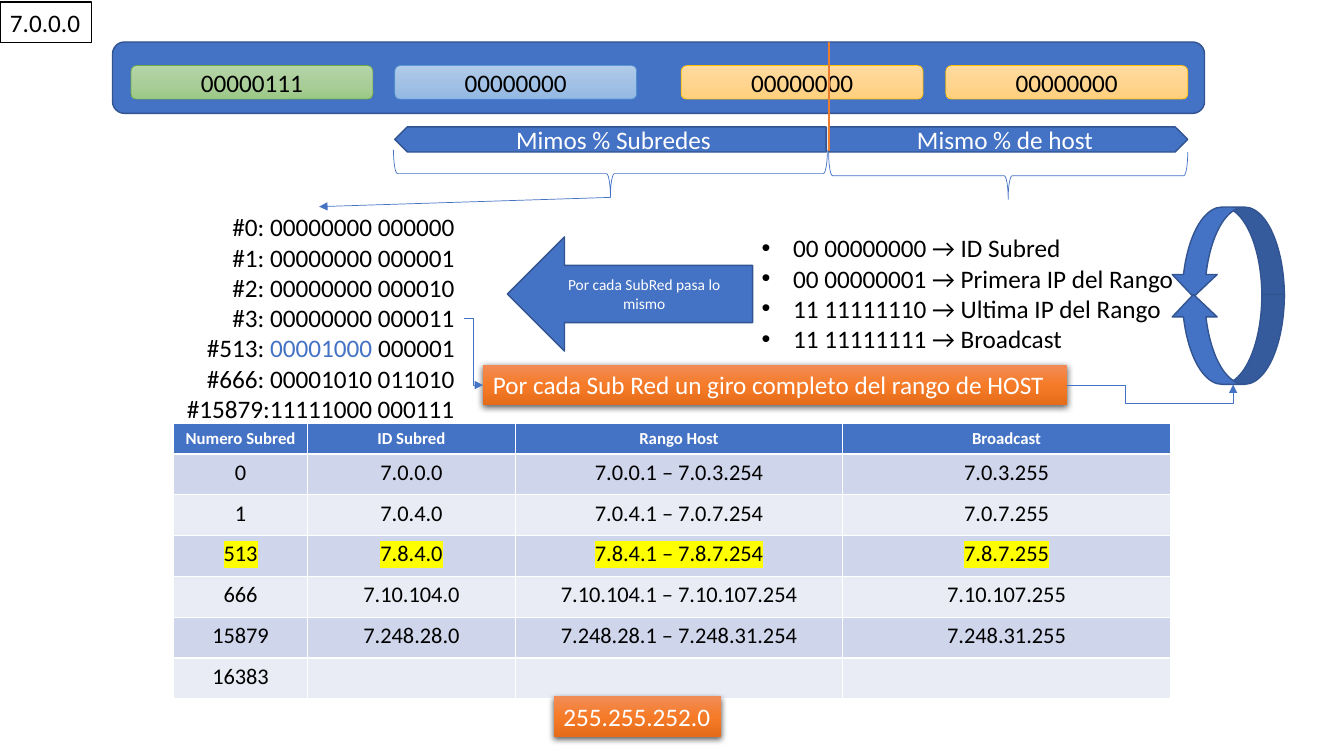
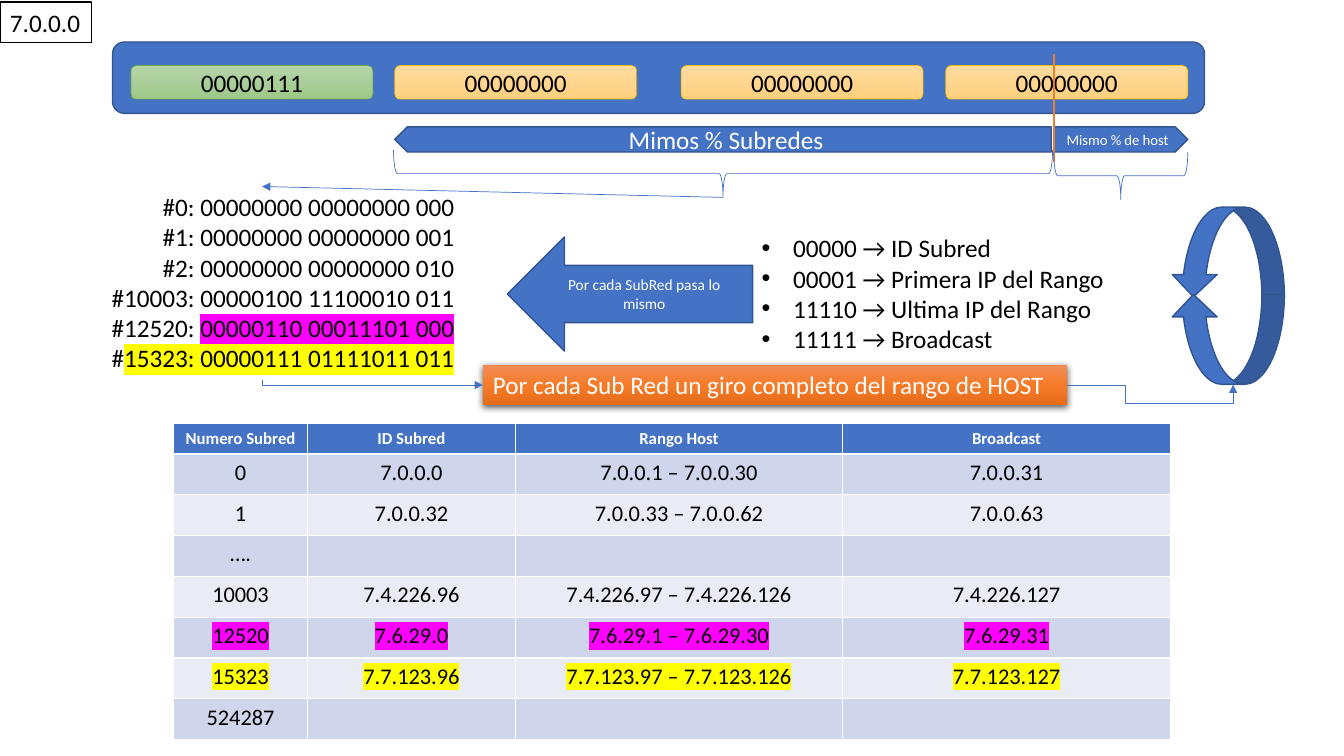
import copy
from dataclasses import dataclass, field

import lxml.etree
import pptx
import pptx.dml.color
import pptx.enum.shapes
import pptx.enum.text
import pptx.oxml.ns
import pptx.util

MSO = pptx.enum.shapes.MSO_SHAPE
LINE = pptx.enum.shapes.MSO_CONNECTOR
ALIGN = pptx.enum.text.PP_ALIGN
ANCHOR = pptx.enum.text.MSO_ANCHOR
qn = pptx.oxml.ns.qn
COLS, ROWS = 160, 90


@dataclass(frozen=True)
class Theme:
    font: str = "Calibri"
    body: float = 18
    cell: float = 16
    head: float = 12
    note: float = 11
    tiny: float = 10.5
    blue: str = "4472C4"
    edge: str = "325491"
    accent: str = "ED7D31"
    black: str = "000000"
    white: str = "FFFFFF"
    bands: tuple = ("CFD5EA", "E9EBF5")
    yellow: str = "FFFF00"
    magenta: str = "FF00FF"
    orange: tuple = ("F18C57", "F67B28", "E56C19")
    octets: dict = field(default_factory=lambda: {
        "net": (("B5D5A7", "AACE9A", "9CC987"), "70AD47"),
        "subnet": (("B1CBE9", "A3C1E5", "93B9E4"), "5B9BD5"),
        "host": (("FFDB9E", "FFD590", "FFD07C"), "FFC000"),
    })


T = Theme()


def rgb(value):
    return pptx.dml.color.RGBColor.from_string(value)


def put(obj, **values):
    for name, value in values.items():
        setattr(obj, name, value)


def child(parent, tag, **attrs):
    return lxml.etree.SubElement(parent, qn(tag), attrs)


class Deck:
    """Holds the presentation and the current slide; lengths are grid units."""

    def __init__(self):
        self.prs = pptx.Presentation()
        put(self.prs, slide_width=pptx.util.Inches(13.33), slide_height=pptx.util.Inches(7.5))
        self.s = None

    def new_slide(self):
        self.s = self.prs.slides.add_slide(self.prs.slide_layouts[6])

    def x(self, cols):
        return round(self.prs.slide_width * cols / COLS)

    def y(self, rows):
        return round(self.prs.slide_height * rows / ROWS)

    def box(self, x, y, w, h):
        return self.x(x), self.y(y), self.x(w), self.y(h)

    def set_text(self, p, parts, size=T.body, color=T.black, bold=False, align=None):
        """Fill a paragraph; parts is a string or (text, colour, highlight) runs."""
        p.alignment = align
        for text, own, mark in [(parts, None, None)] if isinstance(parts, str) else parts:
            r = p.add_run()
            r.text = text
            put(r.font, size=pptx.util.Pt(size), bold=bold, name=T.font)
            r.font.color.rgb = rgb(own or color)
            if mark:
                rPr = r._r.get_or_add_rPr()
                hl = child(rPr, "a:highlight")
                child(hl, "a:srgbClr", val=mark)
                rPr.find(qn("a:solidFill")).addnext(hl)

    def paint(self, sp, fill, line=None, width=1):
        if isinstance(fill, tuple):
            sp.fill.gradient()
            sp.fill.gradient_angle = 270
            stops = sp._element.spPr.find(".//" + qn("a:gsLst"))
            stops.append(copy.deepcopy(stops[-1]))
            for stop, color, pos in zip(sp.fill.gradient_stops, fill, (0, 0.5, 1)):
                stop.position = pos
                stop.color.rgb = rgb(color)
        elif fill:
            sp.fill.solid()
            sp.fill.fore_color.rgb = rgb(fill)
        else:
            sp.fill.background()
        if line:
            sp.line.color.rgb = rgb(line)
            sp.line.width = pptx.util.Pt(width)
        else:
            sp.line.fill.background()

    def shape(self, kind, x, y, w, h, text="", fill=T.blue, line=T.edge, width=1,
              flip=False, rot=0, **fmt):
        sp = self.s.shapes.add_shape(kind, *self.box(x, y, w, h))
        sp.rotation = rot
        sp.shadow.inherit = False
        self.paint(sp, fill, line, width)
        if flip:
            sp._element.spPr.find(qn("a:xfrm")).set("flipH", "1")
        if text:
            put(sp.text_frame, word_wrap=True, vertical_anchor=ANCHOR.MIDDLE)
            self.set_text(sp.text_frame.paragraphs[0], text,
                          **{"color": T.white, "align": ALIGN.CENTER, **fmt})
        return sp

    def turned(self, kind, x, y, w, h, rot, **fmt):
        """Place a quarter-turned shape by the box it covers once turned."""
        iw, ih = h * self.y(1) / self.x(1), w * self.x(1) / self.y(1)
        return self.shape(kind, x + (w - iw) / 2, y + (h - ih) / 2, iw, ih, rot=rot, **fmt)

    def brace(self, x, y, w):
        self.turned(MSO.LEFT_BRACE, x, y, w, 5.64, 270, fill=None, line=T.blue, width=0.5)

    def label(self, x, y, w, text, **fmt):
        sp = self.shape(MSO.RECTANGLE, x, y, w, 4.85, text, align=ALIGN.LEFT, **fmt)
        put(sp.text_frame, word_wrap=False, vertical_anchor=ANCHOR.TOP)
        return sp

    def banner(self, x, y, w, text):
        sp = self.label(x, y, w, text, fill=T.orange, line=None)
        effects = sp._element.spPr.find(qn("a:effectLst"))
        shadow = child(effects, "a:outerShdw", blurRad="57150", dist="19050", dir="5400000",
                       algn="ctr", rotWithShape="0")
        child(child(shadow, "a:srgbClr", val=T.black), "a:alpha", val="63000")

    def text_lines(self, x, y, w, items, bullet=False, align=None):
        sp = self.s.shapes.add_textbox(*self.box(x, y, w, 3.6 * len(items) + 1.25))
        tf = sp.text_frame
        tf.word_wrap = not bullet
        for i, item in enumerate(items):
            p = tf.add_paragraph() if i else tf.paragraphs[0]
            if bullet:
                pPr = p._p.get_or_add_pPr()
                pPr.set("marL", "285750")
                pPr.set("indent", "-285750")
                child(pPr, "a:buFont", typeface="Arial")
                child(pPr, "a:buChar", char="•")
            self.set_text(p, item, align=align)

    def connect(self, start, end, color=T.blue, width=0.5, arrow="tailEnd", bend=None, adj=()):
        """Draw a line; bend names an elbow preset and adj its bend shares."""
        kind = LINE.ELBOW if bend else LINE.STRAIGHT
        cx = self.s.shapes.add_connector(kind, self.x(start[0]), self.y(start[1]),
                                         self.x(end[0]), self.y(end[1]))
        cx.line.color.rgb = rgb(color)
        cx.line.width = pptx.util.Pt(width)
        spPr = cx._element.spPr
        if bend:
            geom = spPr.find(qn("a:prstGeom"))
            geom.set("prst", bend)
            for i, share in enumerate(adj, 1):
                child(geom.find(qn("a:avLst")), "a:gd", name=f"adj{i}",
                      fmla=f"val {round(share * 100000)}")
        if arrow:
            child(spPr.find(qn("a:ln")), "a:" + arrow, type="triangle")
        child(spPr, "a:effectLst")

    def table(self, x, y, widths, header, rows, marks):
        """Draw a banded table; marks maps a first-column value to a highlight."""
        head_h, row_h = 3.6, 4.86
        frame = self.s.shapes.add_table(
            len(rows) + 1, len(widths),
            *self.box(x, y, sum(widths), head_h + row_h * len(rows)))
        tbl = frame.table
        for col, w in zip(tbl.columns, widths):
            col.width = self.x(w)
        for i, values in enumerate([header, *rows]):
            tbl.rows[i].height = self.y(row_h if i else head_h)
            fmt = dict(size=T.cell) if i else dict(size=T.head, color=T.white, bold=True)
            for j in range(len(widths)):
                cell = tbl.cell(i, j)
                cell.fill.solid()
                cell.fill.fore_color.rgb = rgb(T.bands[(i - 1) % 2] if i else T.blue)
                text = values[j] if j < len(values) else ""
                self.set_text(cell.text_frame.paragraphs[0],
                              [(text, None, marks.get(values[0]))], align=ALIGN.CENTER, **fmt)


OCTET_X = (15.6, 47, 81.1, 112.6)
OCTET_W = 28.8
SUBNET_X, HOST_END = OCTET_X[1], OCTET_X[3] + OCTET_W
LIST_RIGHT = 55.3
BANNER_X, BANNER_END, BANNER_MID = 57.5, 127, 45.84
HEADER = ("Numero Subred", "ID Subred", "Rango Host", "Broadcast")
HOST_ROLES = ("ID Subred", "Primera IP del Rango", "Ultima IP del Rango", "Broadcast")


def subnet_slide(d, kinds, split, divider, host_size, hosts, hosts_w, subnets, subnets_at,
                 pointer_x, turn, rows, marks, mask=None):
    d.new_slide()
    d.table(20.64, 50.4, (16, 24.7, 39, 39), HEADER, rows, marks)

    d.shape(MSO.ROUNDED_RECTANGLE, 13.4, 5, 130, 8.5)
    for x, kind, bits in zip(OCTET_X, kinds, ["00000111"] + ["00000000"] * 3):
        fill, line = T.octets[kind]
        d.shape(MSO.ROUNDED_RECTANGLE, x, 7.8, OCTET_W, 4, bits, fill, line, 0.5, color=T.black)
    d.shape(MSO.PENTAGON, split, 15.1, HOST_END - split, 3, "Mismo % de host", size=host_size)
    subnet_w = split - 0.3 - SUBNET_X
    d.shape(MSO.PENTAGON, SUBNET_X, 15.1, subnet_w, 3, "Mimos % Subredes", flip=True)
    d.connect((split, divider[0]), (split, divider[1]), T.accent, 1.5, arrow=None)
    d.brace(split, 18.1, HOST_END - split)
    d.brace(SUBNET_X - 0.15, 17.85, subnet_w + 0.3)

    d.text_lines(89.5, 27.1, hosts_w, [f"{b} → {role}" for b, role in zip(hosts, HOST_ROLES)],
                 bullet=True)
    d.shape(MSO.LEFT_ARROW, 60.4, 28.2, 29.2, 13.6, "Por cada SubRed pasa lo mismo", size=T.note)
    left, top = subnets_at
    d.text_lines(left, top, LIST_RIGHT - left, subnets, align=ALIGN.RIGHT)
    d.connect((SUBNET_X + subnet_w / 2, 23.5), (pointer_x, top))

    for y, flip in ((24.65, False), (35.05, True)):
        d.turned(MSO.CURVED_RIGHT_ARROW, 139.4, y, 13.5, 10.7, 90, flip=flip)
    d.banner(BANNER_X, 43.4, BANNER_END - BANNER_X,
             "Por cada Sub Red un giro completo del rango de HOST")
    d.connect(**turn)
    loop_end, dip = 45.8, 48.1
    d.connect((BANNER_END, BANNER_MID), (146.8, loop_end), bend="bentConnector4",
              adj=(0.35, (dip - BANNER_MID) / (loop_end - BANNER_MID)))
    d.label(0, 0.24, 10.9, "7.0.0.0", fill=T.white, line=T.black, color=T.black)
    if mask:
        d.banner(65.9, 82.9, 20, mask)


def main():
    d = Deck()
    subnet_slide(
        d, ("net", "subnet", "host", "host"), split=98.65, divider=(5, 18), host_size=T.body,
        hosts=("00 00000000", "00 00000001", "11 11111110", "11 11111111"), hosts_w=52.2,
        subnets=["#0: 00000000 000000", "#1: 00000000 000001", "#2: 00000000 000010",
                 "#3: 00000000 000011",
                 [("#513:", None, None), (" 00001000 ", T.blue, None), ("000001", None, None)],
                 "#666: 00001010 011010", "#15879:11111000 000111"],
        subnets_at=(20.64, 24.6), pointer_x=38,
        turn=dict(start=(LIST_RIGHT, 37.9), end=(BANNER_X, BANNER_MID),
                  bend="bentConnector3", adj=(0.5,)),
        rows=[("0", "7.0.0.0", "7.0.0.1 – 7.0.3.254", "7.0.3.255"),
              ("1", "7.0.4.0", "7.0.4.1 – 7.0.7.254", "7.0.7.255"),
              ("513", "7.8.4.0", "7.8.4.1 – 7.8.7.254", "7.8.7.255"),
              ("666", "7.10.104.0", "7.10.104.1 – 7.10.107.254", "7.10.107.255"),
              ("15879", "7.248.28.0", "7.248.28.1 – 7.248.31.254", "7.248.31.255"),
              ("16383",)],
        marks={"513": T.yellow}, mask="255.255.252.0")
    subnet_slide(
        d, ("net", "host", "host", "host"), split=125.45, divider=(6.4, 19.3), host_size=T.tiny,
        hosts=("00000", "00001", "11110", "11111"), hosts_w=43.9,
        subnets=["#0: 00000000 00000000 000", "#1: 00000000 00000000 001",
                 "#2: 00000000 00000000 010", "#10003: 00000100 11100010 011",
                 [("#12520: ", None, None), ("00000110 00011101 000", None, T.magenta)],
                 [("#", None, None), ("15323: 00000111 01111011 011", None, T.yellow)]],
        subnets_at=(7.1, 22.2), pointer_x=31.2,
        turn=dict(start=(BANNER_X, BANNER_MID), end=(31.2, 45.25),
                  bend="bentConnector2", arrow="headEnd"),
        rows=[("0", "7.0.0.0", "7.0.0.1 – 7.0.0.30", "7.0.0.31"),
              ("1", "7.0.0.32", "7.0.0.33 – 7.0.0.62", "7.0.0.63"),
              ("….",),
              ("10003", "7.4.226.96", "7.4.226.97 – 7.4.226.126", "7.4.226.127"),
              ("12520", "7.6.29.0", "7.6.29.1 – 7.6.29.30", "7.6.29.31"),
              ("15323", "7.7.123.96", "7.7.123.97 – 7.7.123.126", "7.7.123.127"),
              ("524287",)],
        marks={"12520": T.magenta, "15323": T.yellow})
    d.prs.save("out.pptx")


if __name__ == "__main__":
    main()
